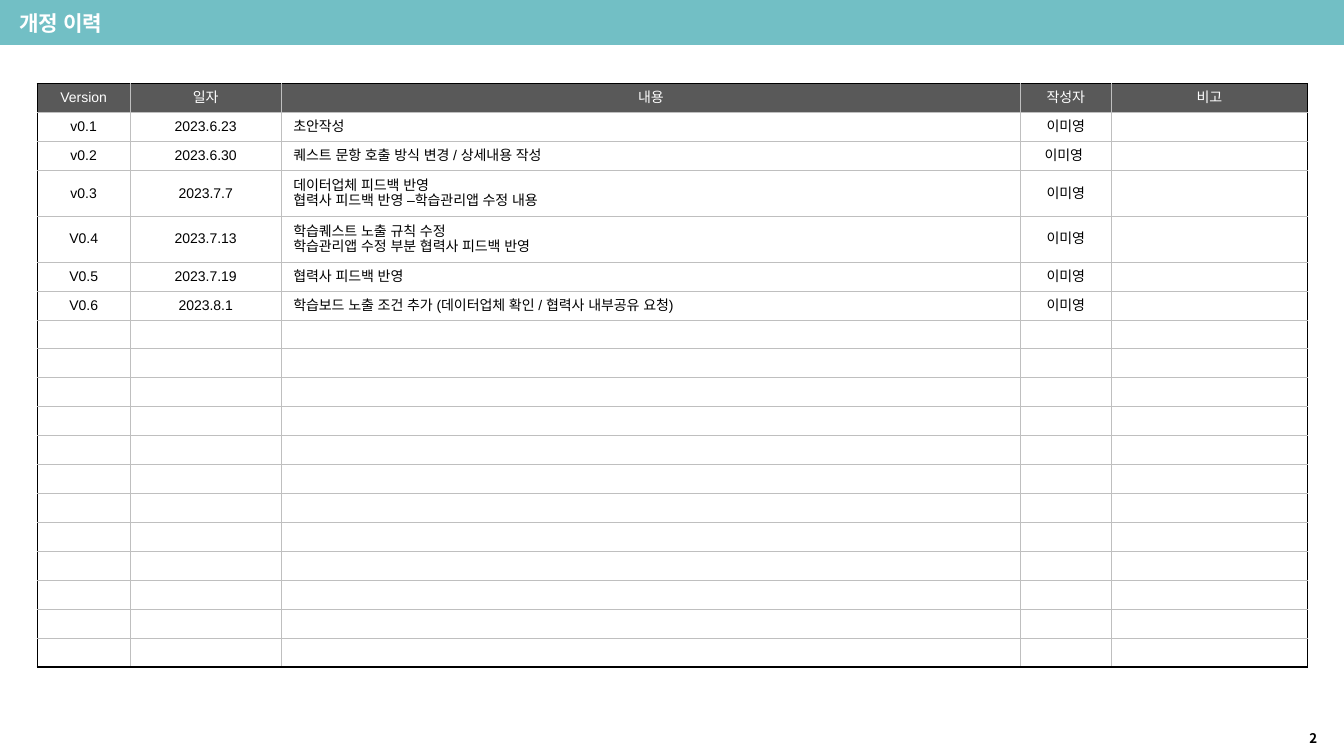
from lxml import etree
from pptx import Presentation
from pptx.dml.color import RGBColor
from pptx.enum.shapes import MSO_SHAPE
from pptx.enum.text import MSO_ANCHOR, PP_ALIGN
from pptx.oxml.ns import qn
from pptx.util import Inches, Pt

BAR_SHAPE = MSO_SHAPE.FLOWCHART_PROCESS
TOP, MIDDLE = MSO_ANCHOR.TOP, MSO_ANCHOR.MIDDLE
LEFT, CENTER = PP_ALIGN.LEFT, PP_ALIGN.CENTER

COLORS = {
    "bar": "72BFC5",
    "header": "595959",
    "grid": "BFBFBF",
    "black": "000000",
    "white": "FFFFFF",
}
HEADING_FONT = "Noto Sans CJK KR"
TABLE_FONT = "Arial"
TABLE_SIZE = 10

COLUMN_WIDTHS = [0.92, 1.5, 7.33, 0.9, 1.95]
CONTENT_COLUMN = 2
ROW_COUNT = 19
TABLE_HEIGHT = 5.72
TWO_LINE_HEIGHT = 0.45
HEADERS = ["Version", "일자", "내용", "작성자", "비고"]
REVISIONS = [
    ["v0.1", "2023.6.23", "초안작성", "이미영"],
    ["v0.2", "2023.6.30", "퀘스트 문항 호출 방식 변경 / 상세내용 작성", "이미영 "],
    ["v0.3", "2023.7.7",
     "데이터업체 피드백 반영\n협력사 피드백 반영 –학습관리앱 수정 내용", "이미영"],
    ["V0.4", "2023.7.13",
     "학습퀘스트 노출 규칙 수정\n학습관리앱 수정 부분 협력사 피드백 반영", "이미영"],
    ["V0.5", "2023.7.19", "협력사 피드백 반영", "이미영"],
    ["V0.6", "2023.8.1",
     "학습보드 노출 조건 추가 (데이터업체 확인 / 협력사 내부공유 요청)", "이미영"],
]


def color(name):
    return RGBColor.from_string(COLORS[name])


def add_span(para, text, font, size, color_name, bold=False):
    """Add one run whose Latin and East Asian fonts are the same."""
    span = para.add_run()
    span.text = text
    span.font.name = font
    span.font.size = Pt(size)
    span.font.bold = bold
    span.font.color.rgb = color(color_name)
    east_asian = etree.Element(qn("a:ea"), typeface=font)
    span.font._element.find(qn("a:latin")).addnext(east_asian)


def set_insets(frame, left, top, right, bottom):
    frame.margin_left, frame.margin_top = Inches(left), Inches(top)
    frame.margin_right, frame.margin_bottom = Inches(right), Inches(bottom)


def add_bar(page, width):
    bar = page.shapes.add_shape(BAR_SHAPE, 0, 0, width, Inches(0.45))
    bar.shadow.inherit = False
    bar.fill.solid()
    bar.fill.fore_color.rgb = color("bar")
    bar.line.fill.background()
    page.shapes._spTree.insert(2, bar._element)  # behind the title


def fill_title(page, text):
    title = page.shapes.title
    title.left, title.top = Inches(0.15), Inches(0.07)
    title.width, title.height = Inches(2.46), Inches(0.32)
    frame = title.text_frame
    set_insets(frame, 0.04, 0.03, 0, 0.03)
    frame.vertical_anchor = MIDDLE
    para = frame.paragraphs[0]
    para.alignment = LEFT
    add_span(para, text, HEADING_FONT, 15.2, "white", bold=True)


def add_page_number(page, text):
    box = page.shapes.add_textbox(
        Inches(12.75), Inches(7.2), Inches(0.55), Inches(0.24))
    frame = box.text_frame
    frame.word_wrap = True
    set_insets(frame, 0.08, 0.04, 0.08, 0.04)
    para = frame.paragraphs[0]
    para.alignment = CENTER
    add_span(para, text, HEADING_FONT, 9.5, "black", bold=True)


def set_borders(cell, outer_sides):
    """Draw thin grey lines, and black ones on the table's outer sides."""
    properties = cell._tc.get_or_add_tcPr()
    for side in "LRTB":
        outer = side in outer_sides
        line = etree.SubElement(
            properties, qn(f"a:ln{side}"), w=str(Pt(1 if outer else 0.5)))
        fill = etree.SubElement(line, qn("a:solidFill"))
        etree.SubElement(fill, qn("a:srgbClr"),
                         val=COLORS["black" if outer else "grid"])


def fill_cell(cell, text, is_header, alignment):
    cell.fill.solid()
    cell.fill.fore_color.rgb = color("header" if is_header else "white")
    cell.vertical_anchor = TOP if is_header else MIDDLE
    set_insets(cell, 0.12, 0.06, 0.12, 0.06)
    frame = cell.text_frame
    for index, line in enumerate(text.split("\n")):
        para = frame.add_paragraph() if index else frame.paragraphs[0]
        para.alignment = alignment
        if line:
            add_span(para, line, TABLE_FONT, TABLE_SIZE,
                     "white" if is_header else "black")
        else:
            etree.SubElement(para._p, qn("a:endParaRPr"),
                             sz=str(TABLE_SIZE * 100))


def add_revision_table(page):
    table = page.shapes.add_table(
        ROW_COUNT, len(COLUMN_WIDTHS), Inches(0.37), Inches(0.83),
        Inches(sum(COLUMN_WIDTHS)), Inches(TABLE_HEIGHT)).table
    table.first_row = table.horz_banding = False
    for column, width in zip(table.columns, COLUMN_WIDTHS):
        column.width = Inches(width)

    contents = [HEADERS] + REVISIONS
    contents += [[]] * (ROW_COUNT - len(contents))
    tall_rows = sum("\n" in "".join(texts) for texts in contents)
    single_height = ((TABLE_HEIGHT - tall_rows * TWO_LINE_HEIGHT)
                     / (ROW_COUNT - tall_rows))
    last_row, last_column = ROW_COUNT - 1, len(COLUMN_WIDTHS) - 1

    for row_index, texts in enumerate(contents):
        is_tall = "\n" in "".join(texts)
        table.rows[row_index].height = Inches(
            TWO_LINE_HEIGHT if is_tall else single_height)
        is_header = row_index == 0
        for column_index in range(len(COLUMN_WIDTHS)):
            cell = table.cell(row_index, column_index)
            outer_sides = (("L" if column_index == 0 else "")
                           + ("R" if column_index == last_column else "")
                           + ("T" if is_header else "")
                           + ("B" if row_index == last_row else ""))
            set_borders(cell, outer_sides)
            text = texts[column_index] if column_index < len(texts) else ""
            is_content = column_index == CONTENT_COLUMN and not is_header
            fill_cell(cell, text, is_header, LEFT if is_content else CENTER)


def main():
    deck = Presentation()
    deck.slide_width, deck.slide_height = Inches(13.33), Inches(7.5)
    page = deck.slides.add_slide(deck.slide_layouts[5])
    add_bar(page, deck.slide_width)
    add_page_number(page, "2")
    add_revision_table(page)
    fill_title(page, "개정 이력")
    deck.save("out.pptx")


if __name__ == "__main__":
    main()
